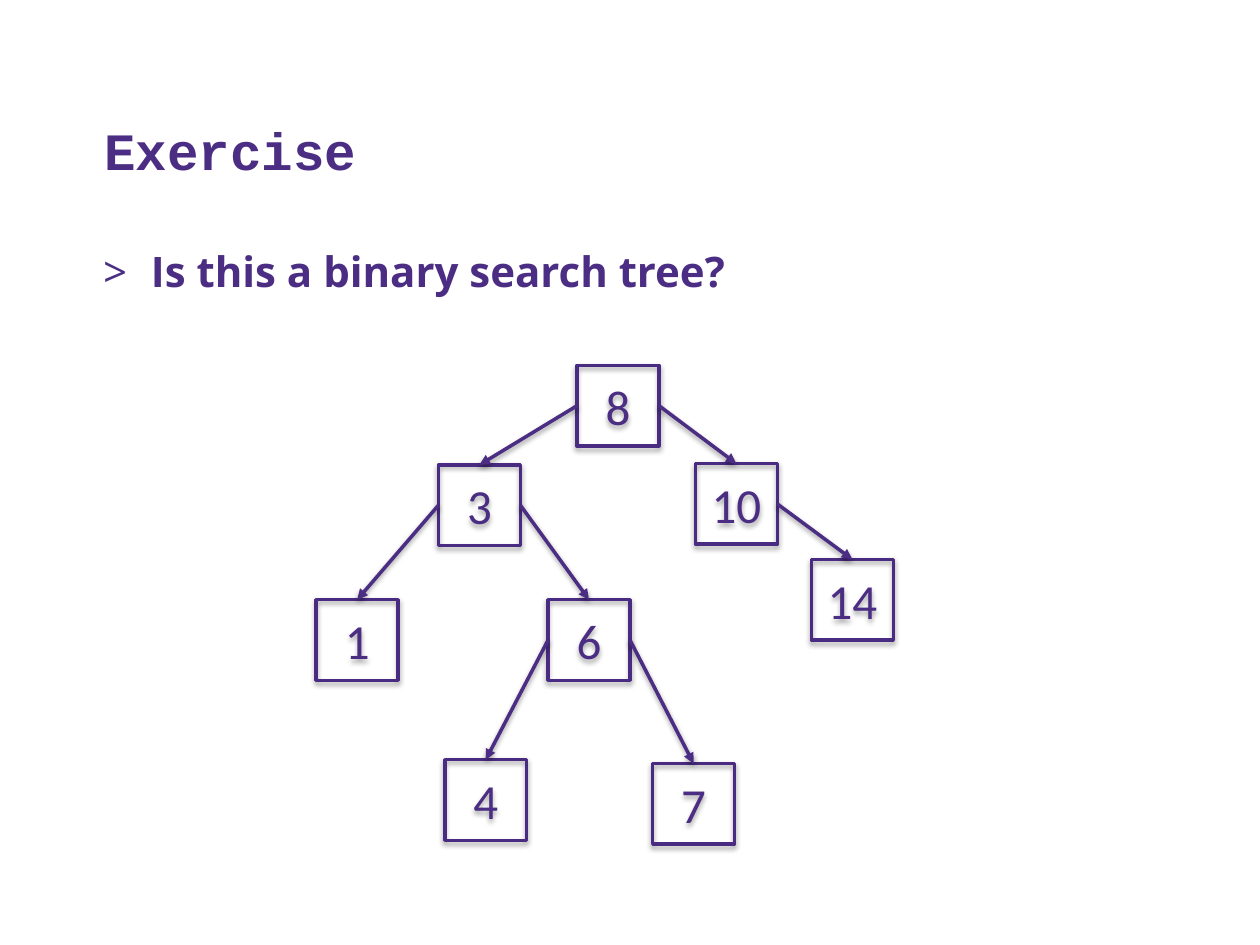
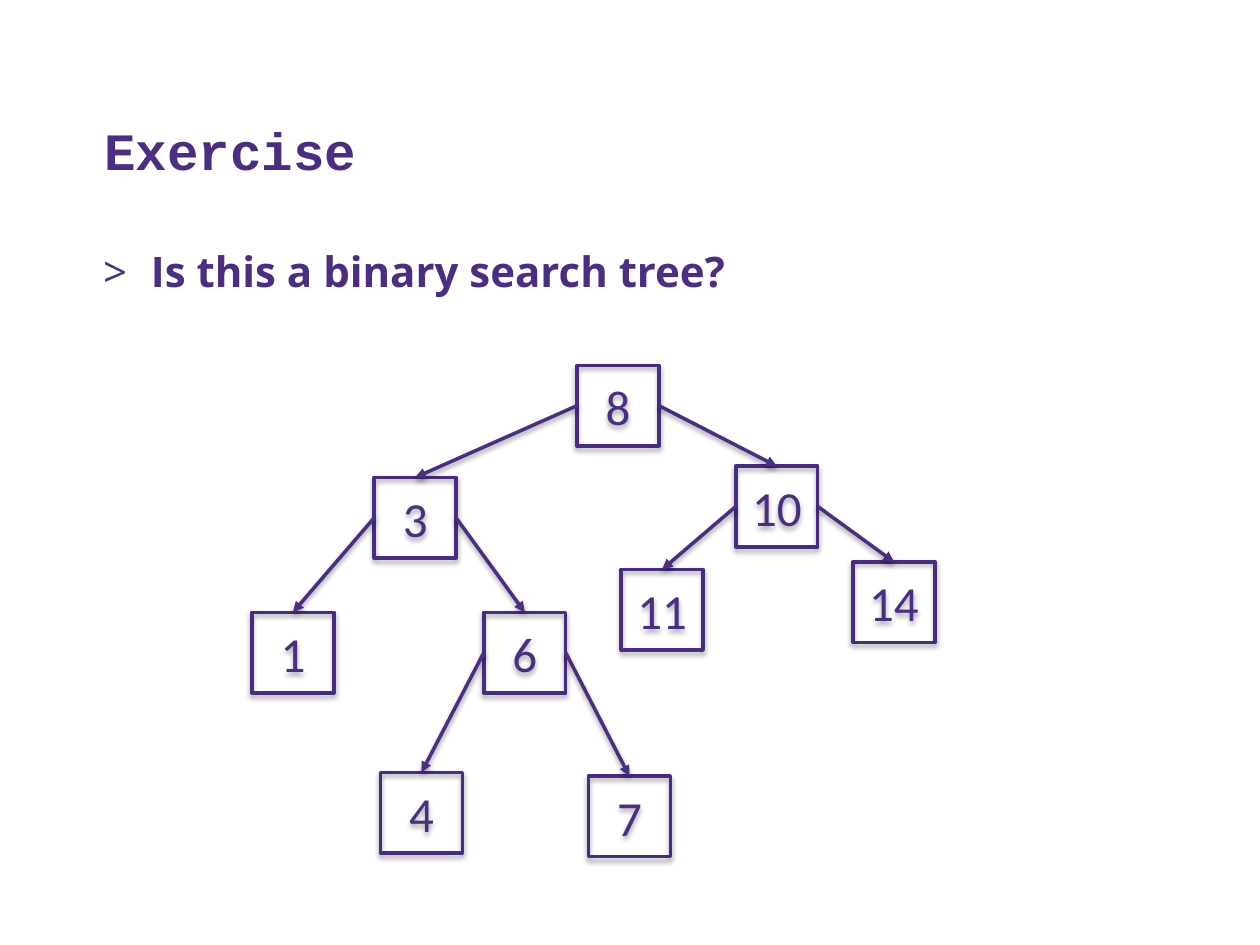
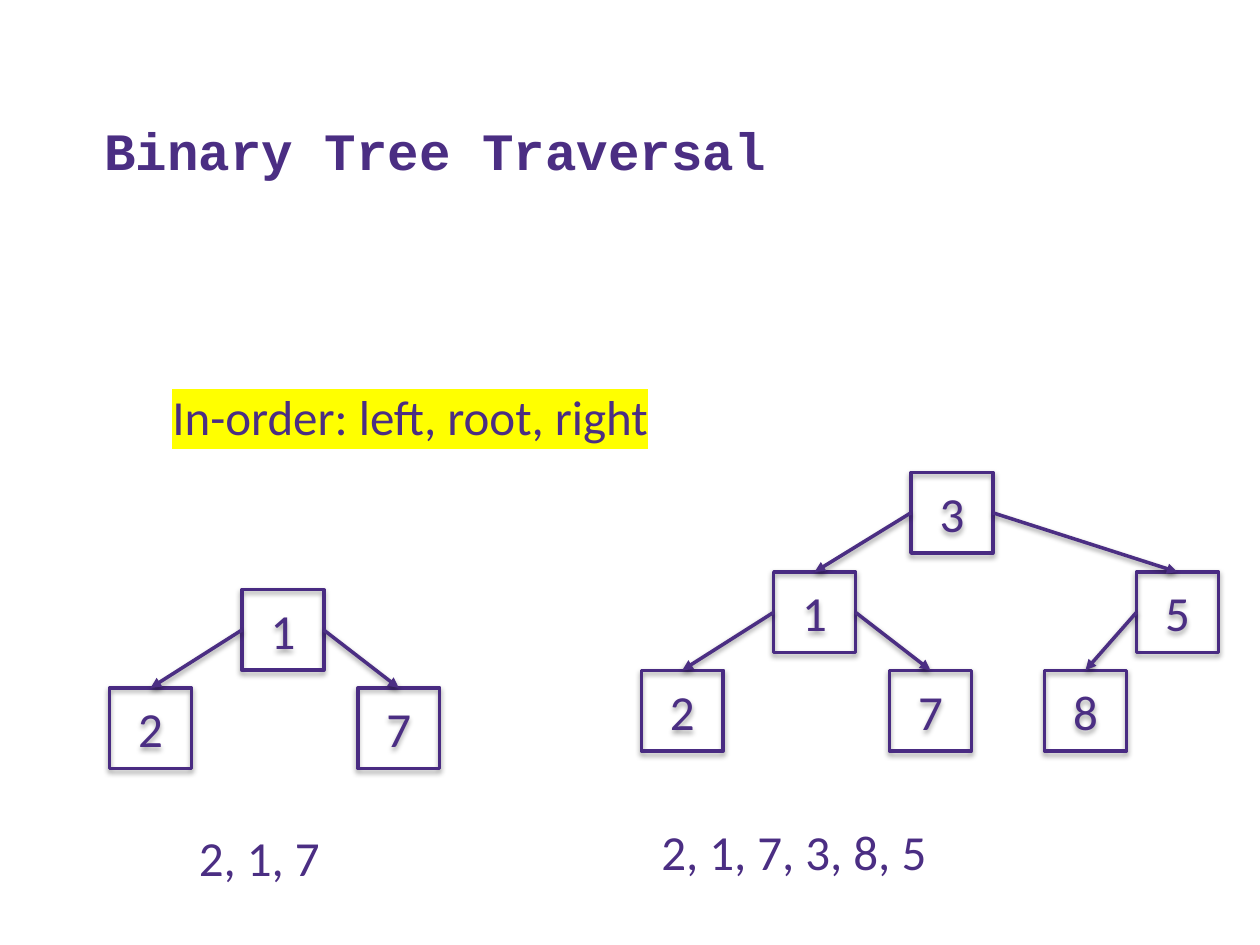
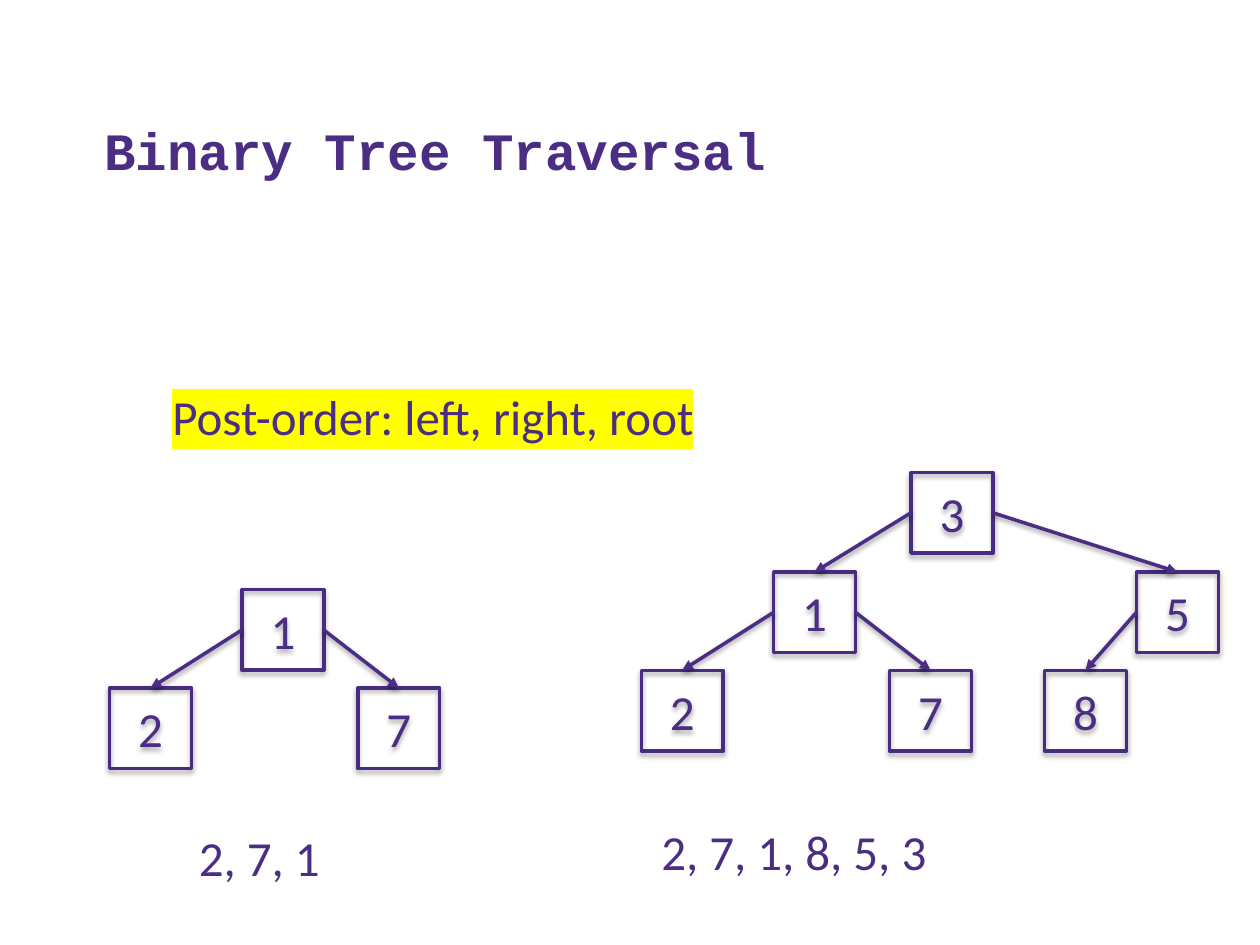
import dataclasses
import typing

import lxml.etree
import pptx
import pptx.dml.color
import pptx.enum.shapes
import pptx.enum.text
import pptx.oxml.ns
import pptx.util

# Shared look: a grid of 100 columns by 75 rows, ten cells to the inch
COLORS = {"text": "4B2E83", "outline": "492B82", "shadow": "000000", "mark": "FFFF00"}
CELL = pptx.util.Inches(0.1)
COLUMNS, ROWS = 100, 75
NODE_WIDTH, NODE_HEIGHT = 6.5, 6.4
LINE_WIDTH = pptx.util.Pt(2)
TOP, LEFT, RIGHT = 0, 1, 3  # connection sites of a rectangle


@dataclasses.dataclass(frozen=True)
class TextStyle:
    font: str
    size: int
    bold: bool = False


TITLE = TextStyle("Courier New", 30, True)
BODY = TextStyle("Open Sans", 24, True)
LABEL = TextStyle("Calibri", 28)


@dataclasses.dataclass(frozen=True)
class Node:
    """A tree node; its place is counted in cells from its parent."""
    value: int
    across: float
    down: float
    left: typing.Optional["Node"] = None
    right: typing.Optional["Node"] = None


@dataclasses.dataclass(frozen=True)
class Caption:
    text: str
    column: float
    row: float
    width: float
    marked: bool = False


# Trees
def three(across: float, down: float) -> Node:
    six = Node(6, 8.7, 10.7, Node(4, -8.2, 12.7), Node(7, 8.3, 13))
    return Node(3, across, down, Node(1, -9.7, 10.7), six)


def one(across: float, down: float) -> Node:
    return Node(1, across, down, Node(2, -10.5, 7.8), Node(7, 9.2, 7.8))


EXERCISES = [
    Node(8, 45.8, 29, three(-11, 7.9), Node(10, 9.4, 7.8, None, Node(14, 9.2, 7.6))),
    Node(8, 45.8, 29, three(-16.1, 8.9),
         Node(10, 12.6, 8, Node(11, -9.1, 8.2), Node(14, 9.3, 7.6))),
]
LARGE_TREE = Node(3, 72.3, 37.5, one(-10.9, 7.9), Node(5, 17.9, 7.9, Node(8, -7.3, 7.8)))
SMALL_TREE = one(19.2, 46.8)


def in_order(node: typing.Optional[Node]) -> list[int]:
    return in_order(node.left) + [node.value] + in_order(node.right) if node else []


def post_order(node: typing.Optional[Node]) -> list[int]:
    return post_order(node.left) + post_order(node.right) + [node.value] if node else []


# Drawing helpers
def cells(*counts: float) -> list[int]:
    return [round(count * CELL) for count in counts]


def rgb(name: str) -> pptx.dml.color.RGBColor:
    return pptx.dml.color.RGBColor.from_string(COLORS[name])


def add_element(parent, tag: str, **attributes: object):
    return lxml.etree.SubElement(parent, pptx.oxml.ns.qn(tag),
                                 {key: str(value) for key, value in attributes.items()})


def add_shadow(effects, distance: float, opacity: int) -> None:
    shadow = add_element(effects, "a:outerShdw", blurRad=pptx.util.Pt(3.1),
                         dist=pptx.util.Pt(distance), dir=90 * 60000, rotWithShape=0)
    color = add_element(shadow, "a:srgbClr", val=COLORS["shadow"])
    add_element(color, "a:alpha", val=opacity * 1000)


def style_para(para, style: TextStyle) -> None:
    para.font.name = style.font
    para.font.size = pptx.util.Pt(style.size)
    para.font.bold = style.bold
    para.font.color.rgb = rgb("text")


def add_text(page, text: str, column: float, row: float, width: float, height: float,
             style: TextStyle):
    box = page.shapes.add_textbox(*cells(column, row, width, height))
    box.text_frame.word_wrap = True
    para = box.text_frame.paragraphs[0]
    para.add_run().text = text
    style_para(para, style)
    return box


def add_title(page, text: str) -> None:
    box = add_text(page, text, 7.3, 4.1, 89.5, 10.8, TITLE)
    box.text_frame.vertical_anchor = pptx.enum.text.MSO_ANCHOR.BOTTOM


def add_question(page, text: str) -> None:
    box = page.shapes.add_textbox(*cells(7.2, 19, 89.6, 43.9))
    box.text_frame.word_wrap = True
    para = box.text_frame.paragraphs[0]
    para.add_run().text = text
    indent = cells(3.8)[0]
    settings = para._p.get_or_add_pPr()
    settings.set("marL", str(indent))
    settings.set("indent", str(-indent))
    add_element(settings, "a:buFont", typeface=BODY.font)
    add_element(settings, "a:buChar", char=">")
    style_para(para, BODY)


def add_caption(page, caption: Caption) -> None:
    box = add_text(page, caption.text, caption.column, caption.row, caption.width, 5.7, LABEL)
    box.text_frame.word_wrap = False
    box.text_frame.auto_size = pptx.enum.text.MSO_AUTO_SIZE.SHAPE_TO_FIT_TEXT
    if caption.marked:
        span = box.text_frame.paragraphs[0].runs[0]
        highlight = add_element(span._r.get_or_add_rPr(), "a:highlight")
        add_element(highlight, "a:srgbClr", val=COLORS["mark"])


def add_box(shapes, value: int, column: float, row: float):
    box = shapes.add_shape(pptx.enum.shapes.MSO_SHAPE.RECTANGLE,
                           *cells(column, row, NODE_WIDTH, NODE_HEIGHT))
    box.fill.background()
    box.line.color.rgb = rgb("outline")
    box.line.width = LINE_WIDTH
    box.shadow.inherit = False
    add_shadow(box._element.spPr.find(pptx.oxml.ns.qn("a:effectLst")), 1.8, 35)
    box.text_frame.vertical_anchor = pptx.enum.text.MSO_ANCHOR.MIDDLE
    para = box.text_frame.paragraphs[0]
    para.text = str(value)
    para.alignment = pptx.enum.text.PP_ALIGN.CENTER
    style_para(para, LABEL)
    return box


def add_arrow(shapes, parent, child, side: int) -> None:
    arrow = shapes.add_connector(pptx.enum.shapes.MSO_CONNECTOR.STRAIGHT,
                                 parent.left, parent.top, child.left, child.top)
    arrow.begin_connect(parent, side)
    arrow.end_connect(child, TOP)
    arrow.line.color.rgb = rgb("text")
    arrow.line.width = LINE_WIDTH
    add_element(arrow.line._get_or_add_ln(), "a:tailEnd", type="triangle")
    add_shadow(add_element(arrow._element.spPr, "a:effectLst"), 1.6, 38)


def add_tree(shapes, node: Node, column: float = 0, row: float = 0):
    column, row = column + node.across, row + node.down
    box = add_box(shapes, node.value, column, row)
    for child, side in ((node.left, LEFT), (node.right, RIGHT)):
        if child:
            add_arrow(shapes, box, add_tree(shapes, child, column, row), side)
    return box


# Slides
def add_exercise(page, tree: Node) -> None:
    add_question(page, "Is this a binary search tree?")
    add_title(page, "Exercise")
    add_tree(page.shapes, tree)


def add_traversal(page, rule: str, rule_width: float,
                  visit: typing.Callable[[Node], list[int]]) -> None:
    add_title(page, "Binary Tree Traversal")
    for tree in (LARGE_TREE, SMALL_TREE):
        add_tree(page.shapes.add_group_shape().shapes, tree)
    add_caption(page, Caption(rule, 12.7, 30.2, rule_width, marked=True))
    for tree, column, row, width in ((SMALL_TREE, 14.8, 65.2, 11.8),
                                     (LARGE_TREE, 51.5, 64.7, 23.4)):
        add_caption(page, Caption(", ".join(map(str, visit(tree))), column, row, width))


def main() -> None:
    deck = pptx.Presentation()
    deck.slide_width, deck.slide_height = cells(COLUMNS, ROWS)
    blank = deck.slide_layouts[6]
    for tree in EXERCISES:
        add_exercise(deck.slides.add_slide(blank), tree)
    add_traversal(deck.slides.add_slide(blank), "In-order: left, root, right", 40.3, in_order)
    add_traversal(deck.slides.add_slide(blank), "Post-order: left, right, root", 43.9, post_order)
    deck.save("out.pptx")


if __name__ == "__main__":
    main()
